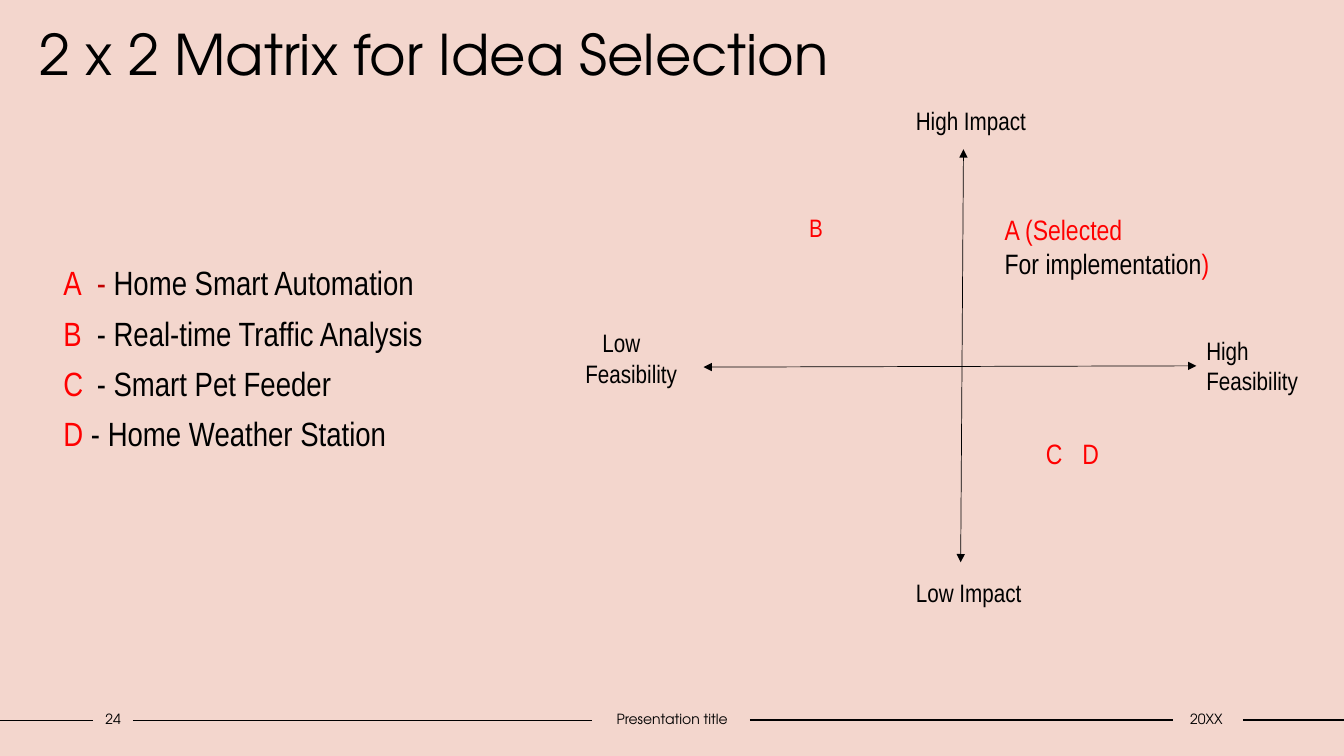
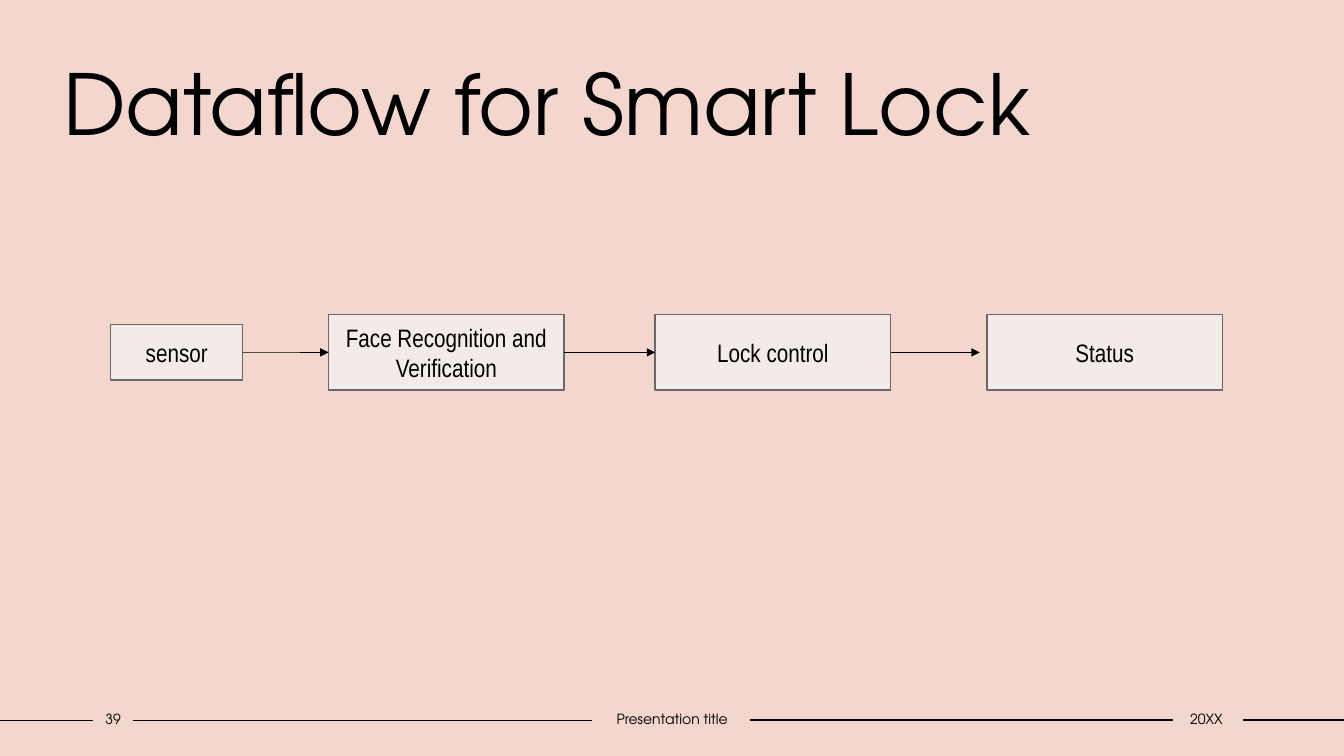
from lxml import etree
from pptx import Presentation
from pptx.dml.color import RGBColor
from pptx.enum.shapes import MSO_CONNECTOR, MSO_SHAPE
from pptx.enum.text import MSO_ANCHOR, PP_ALIGN
from pptx.oxml.ns import qn
from pptx.util import Cm, Pt

STRAIGHT = MSO_CONNECTOR.STRAIGHT
RECT = MSO_SHAPE.RECTANGLE
TOP, MIDDLE = MSO_ANCHOR.TOP, MSO_ANCHOR.MIDDLE
LEFT, CENTER = PP_ALIGN.LEFT, PP_ALIGN.CENTER

COLORS = {"back": "F3D6CD", "text": "000000", "mark": "FF0000",
          "dash": "C00000", "box": "F3EBE8", "edge": "6B6766"}
HEAD_FONT, BODY_FONT = "TeX Gyre Adventor", "Arial Narrow"


def color(name):
    return RGBColor.from_string(COLORS[name])


def add_run(p, text, size, font=BODY_FONT, tint="text"):
    r = p.add_run()
    r.text = text
    r.font.size, r.font.name = Pt(size), font
    r.font.color.rgb = color(tint)


def add_frame(s, x, y, w, h, anchor=TOP):
    tf = s.shapes.add_textbox(Cm(x), Cm(y), Cm(w), Cm(h)).text_frame
    tf.word_wrap = True
    tf.vertical_anchor = anchor
    return tf


def next_paragraph(tf, index, align=LEFT):
    p = tf.add_paragraph() if index else tf.paragraphs[0]
    p.alignment = align
    return p


def add_line(s, x1, y1, x2, y2, width, arrows=()):
    """Straight line; arrows lists the ends that get a triangle."""
    line = s.shapes.add_connector(STRAIGHT, Cm(x1), Cm(y1), Cm(x2), Cm(y2))
    line.line.color.rgb = color("text")
    line.line.width = Pt(width)
    ln = line.line._get_or_add_ln()
    for end in arrows:
        etree.SubElement(ln, qn(f"a:{end}")).set("type", "triangle")
    etree.SubElement(line._element.spPr, qn("a:effectLst"))
    return line


def add_title(s, x, y, text, size):
    p = add_frame(s, x, y, 27.53, 2.82).paragraphs[0]
    p.line_spacing = 0.9
    add_run(p, text, size, HEAD_FONT)


def add_footer(s, number):
    # Rules between the footer texts
    for x1, x2, y in ((0, 2.34, 18.16), (3.35, 14.91, 18.16),
                      (18.9, 29.57, 18.14), (31.32, 33.87, 18.14)):
        add_line(s, x1, y, x2, y, 1)
    # Page number, title and date
    for x, w, text in ((2.34, 1.02, number), (14.91, 4.06, "Presentation title"),
                       (29.51, 1.78, "20XX")):
        tf = add_frame(s, x, 17.78, w, 0.69, MIDDLE)
        tf.margin_left = tf.margin_right = 0
        add_run(next_paragraph(tf, 0, CENTER), text, 10, HEAD_FONT)


def new_slide(prs, number):
    s = prs.slides.add_slide(prs.slide_layouts[6])
    s.background.fill.solid()
    s.background.fill.fore_color.rgb = color("back")
    add_footer(s, number)
    return s


def add_idea_list(s, x, y, w, h):
    ideas = (("A", "\t", "Home Smart Automation", "dash"),
             ("B", "\t", "Real-time Traffic Analysis", "text"),
             ("C", "\t", "Smart Pet Feeder", "text"),
             ("D", " ", "Home Weather Station", "text"))
    tf = add_frame(s, x, y, w, h)
    for i, (letter, gap, idea, dash_tint) in enumerate(ideas):
        p = next_paragraph(tf, i)
        p.line_spacing = 0.9
        p.space_before = Pt(10 if i else 0)
        if gap == "\t":
            tabs = etree.SubElement(p._p.get_or_add_pPr(), qn("a:tabLst"))
            tab = etree.SubElement(tabs, qn("a:tab"))
            tab.set("pos", str(Cm(0.84)))
            tab.set("algn", "l")
        add_run(p, letter, 24, tint="mark")
        add_run(p, gap + "- ", 24, tint=dash_tint)
        add_run(p, idea, 24)


def add_matrix(s, x, y):
    # Axes
    for x1, y1, x2, y2 in ((15.65, 6.68, 3.23, 6.71), (9.78, 1.22, 9.71, 11.63)):
        add_line(s, x + x1, y + y1, x + x2, y + y2, 0.5, ("headEnd", "tailEnd"))
    # Ideas and axis labels: left, top, width, size, lines of (text, tint) runs
    labels = (
        (10.57, 2.69, 7, 20, ((("A (Selected", "mark"),),
                              (("For implementation", "text"), (")", "mark")))),
        (5.64, 2.69, 3.7, 18, ((("B", "mark"),),)),
        (11.61, 8.33, 1, 20, ((("C", "mark"),),)),
        (12.53, 8.33, 1, 20, ((("D", "mark"),),)),
        (8.33, 0, 3.7, 18, ((("High Impact", "text"),),)),
        (8.33, 11.89, 3.7, 18, ((("Low Impact", "text"),),)),
        (0, 5.59, 3.7, 18, ((("Low", "text"),), (("Feasibility", "text"),))),
        (15.65, 5.79, 3.7, 18, ((("High", "text"),), (("Feasibility", "text"),))),
    )
    for dx, dy, w, size, lines in labels:
        tf = add_frame(s, x + dx, y + dy, w, 0.9 * len(lines))
        for i, runs in enumerate(lines):
            p = next_paragraph(tf, i)
            if runs[0][0] == "Low":
                p._p.get_or_add_pPr().set("marL", str(Cm(0.43)))
            for text, tint in runs:
                add_run(p, text, size, tint=tint)


def add_flow(s, x, middle):
    """Boxes centred on one height, joined by arrows."""
    steps = ((0, 3.33, 1.4, "sensor"),
             (5.49, 5.94, 1.9, "Face Recognition and Verification"),
             (13.72, 5.94, 1.9, "Lock control"),
             (22.08, 5.94, 1.9, "Status"))
    boxes = []
    for dx, w, h, text in steps:
        sp = s.shapes.add_shape(RECT, Cm(x + dx), Cm(middle - h / 2), Cm(w), Cm(h))
        sp.shadow.inherit = False
        sp.fill.solid()
        sp.fill.fore_color.rgb = color("box")
        sp.line.color.rgb = color("edge")
        sp.line.width = Pt(1)
        tf = sp.text_frame
        tf.word_wrap = True
        tf.vertical_anchor = MIDDLE
        add_run(next_paragraph(tf, 0, CENTER), text, 18)
        boxes.append(sp)
    # The last arrow stops just short of its box
    for i, (source, target) in enumerate(zip(boxes, boxes[1:])):
        start = x + steps[i][0] + steps[i][1]
        end = x + steps[i + 1][0]
        last = target is boxes[-1]
        arrow = add_line(s, start, middle, end - (0.18 if last else 0), middle,
                         0.5, ("tailEnd",))
        arrow.begin_connect(source, 3)
        if not last:
            arrow.end_connect(target, 1)


def matrix_slide(prs):
    s = new_slide(prs, "24")
    add_title(s, 0.74, 0.56, "2 x 2 Matrix for Idea Selection", 40)
    add_idea_list(s, 1.35, 6.6, 12, 6)
    add_matrix(s, 14.5, 2.54)


def dataflow_slide(prs):
    s = new_slide(prs, "39")
    add_title(s, 1.35, 1.47, "Dataflow for Smart Lock", 60)
    add_flow(s, 2.79, 8.88)


def main():
    prs = Presentation()
    prs.slide_width, prs.slide_height = Cm(33.87), Cm(19.05)
    matrix_slide(prs)
    dataflow_slide(prs)
    prs.save("out.pptx")


if __name__ == "__main__":
    main()
